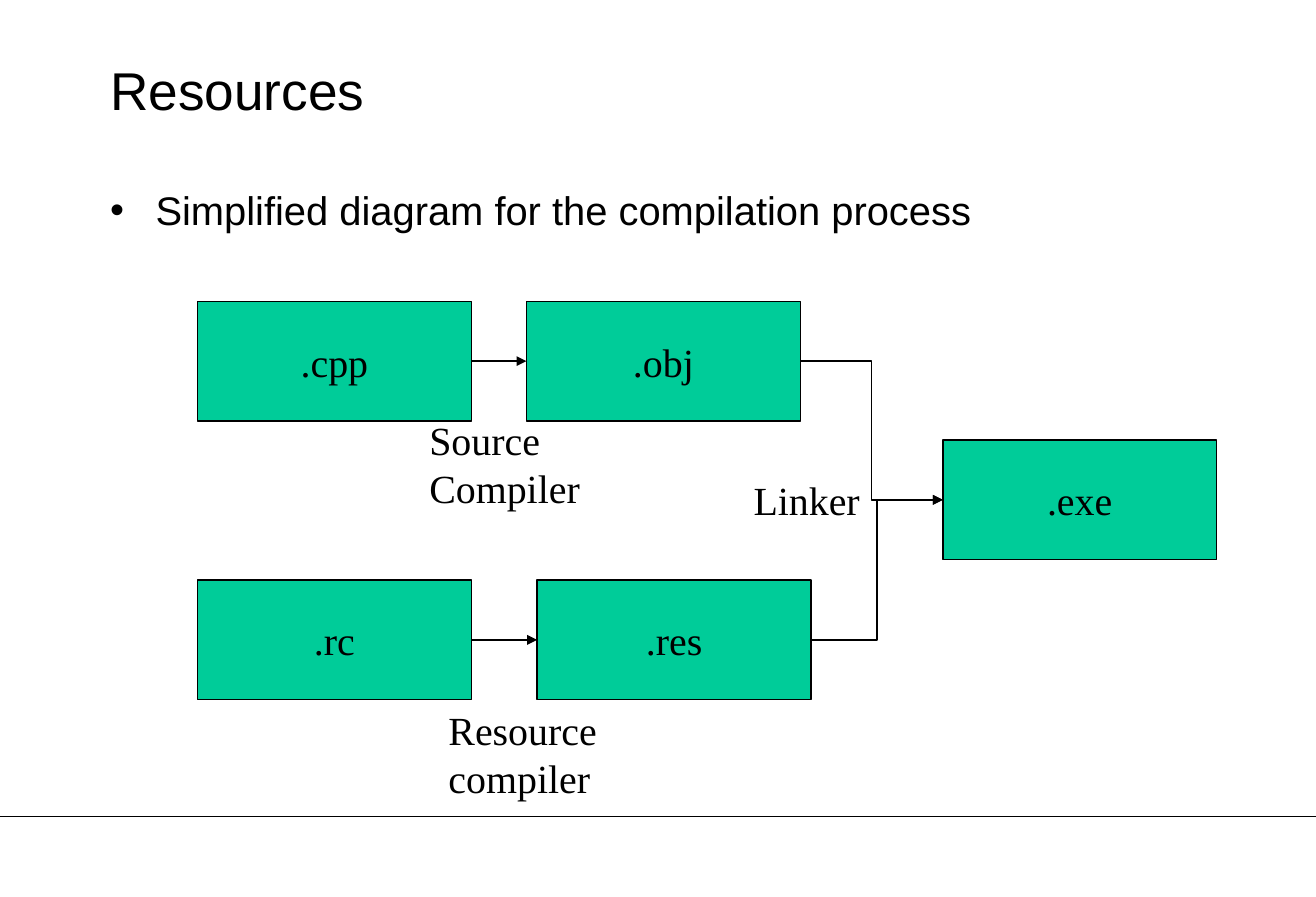
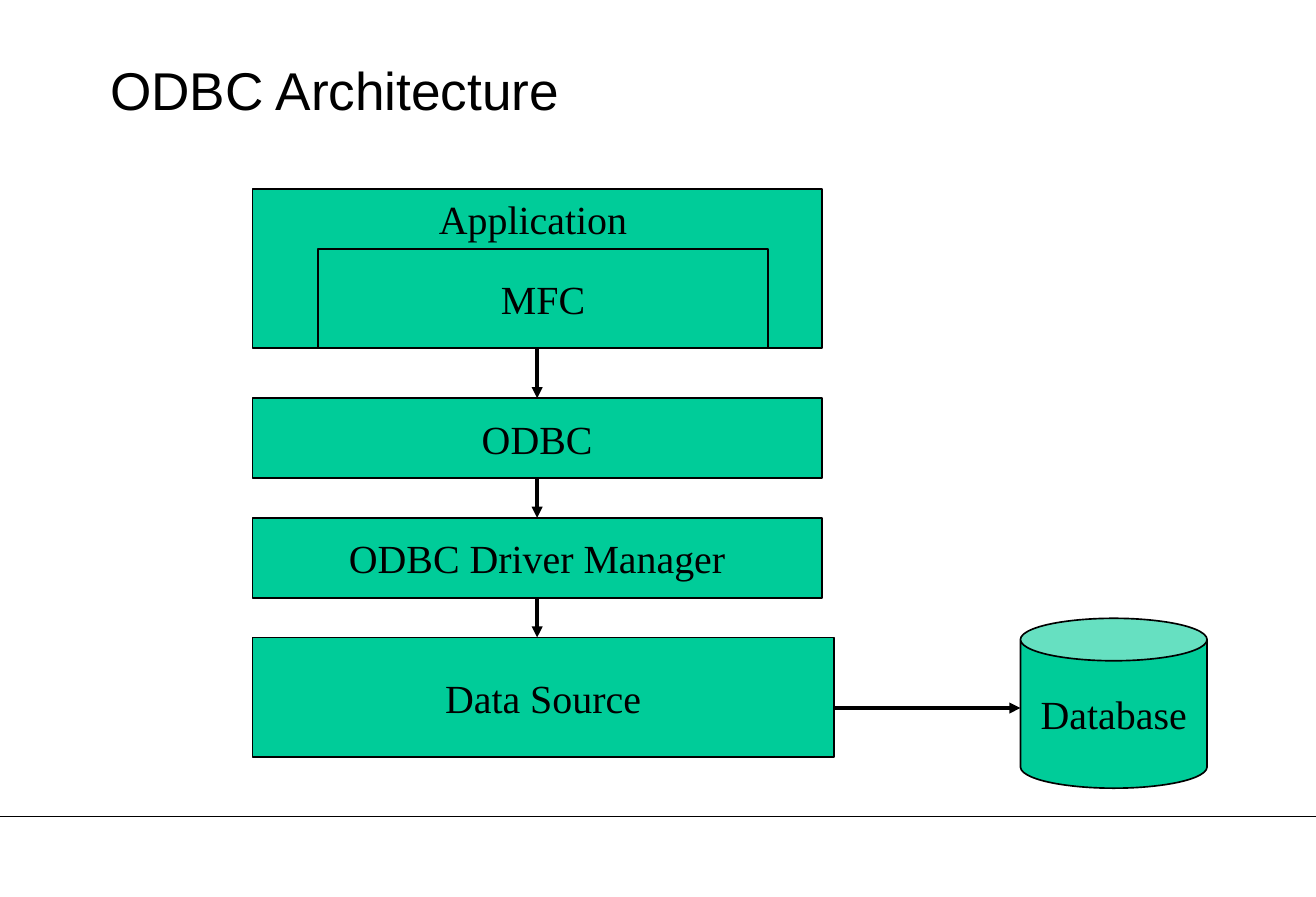
from lxml import etree
from pptx import Presentation
from pptx.dml.color import RGBColor
from pptx.enum.shapes import MSO_CONNECTOR, MSO_SHAPE
from pptx.enum.text import MSO_ANCHOR, MSO_AUTO_SIZE, PP_ALIGN
from pptx.oxml.ns import qn
from pptx.util import Inches, Pt

HEX = {"ink": "000000", "green": "00CC99"}
HEAD = "Arial"
TEXT = "Times New Roman"
LEFT, RIGHT = 1, 3


class Deck:
    def __init__(self):
        self.deck = Presentation()
        self.deck.slide_width = Inches(11)
        self.deck.slide_height = Inches(7.5)
        self.slide = None

    def color(self, name):
        return RGBColor.from_string(HEX[name])

    def place(self, shape, x, y, w, h):
        shape.left, shape.top = Inches(x), Inches(y)
        shape.width, shape.height = Inches(w), Inches(h)

    def letter(self, shape, lines, size=24, face=TEXT, align=PP_ALIGN.LEFT,
               anchor=MSO_ANCHOR.TOP, wrap=True):
        frame = shape.text_frame
        frame.text = "\n".join(lines)
        frame.word_wrap = wrap
        frame.auto_size = MSO_AUTO_SIZE.NONE
        frame.vertical_anchor = anchor
        for para in frame.paragraphs:
            para.alignment = align
            para.space_before = Pt(0)
            para.font.size = Pt(size)
            para.font.name = face
            para.font.color.rgb = self.color("ink")

    def page(self, title, layout):
        self.slide = self.deck.slides.add_slide(self.deck.slide_layouts[layout])
        self.line((0, 6.83), (11, 6.83), 0.75)
        head = self.slide.shapes.title
        self.place(head, 0.82, 0.25, 8.51, 1)
        self.letter(head, [title], 32, HEAD, anchor=MSO_ANCHOR.MIDDLE)

    def bullets(self, items):
        body = self.slide.placeholders[1]
        self.place(body, 0.82, 1.5, 9.35, 5.17)
        self.letter(body, items, face=HEAD)
        for para in body.text_frame.paragraphs:
            props = para._p.get_or_add_pPr()
            props.set("marL", str(Inches(0.38)))
            props.set("indent", str(-Inches(0.38)))

    def box(self, text, x, y, w, h, kind=MSO_SHAPE.RECTANGLE):
        shape = self.slide.shapes.add_shape(
            kind, Inches(x), Inches(y), Inches(w), Inches(h))
        shape.shadow.inherit = False
        shape.fill.solid()
        shape.fill.fore_color.rgb = self.color("green")
        shape.line.color.rgb = self.color("ink")
        shape.line.width = Pt(1)
        if text:
            self.letter(shape, [text], align=PP_ALIGN.CENTER,
                        anchor=MSO_ANCHOR.MIDDLE, wrap=False)
        return shape

    def label(self, lines, x, y, w, h, wrap=True):
        shape = self.slide.shapes.add_textbox(
            Inches(x), Inches(y), Inches(w), Inches(h))
        self.letter(shape, lines, wrap=wrap)

    def line(self, start, end, width, kind=MSO_CONNECTOR.STRAIGHT):
        line = self.slide.shapes.add_connector(
            kind, *[Inches(n) for n in (*start, *end)])
        line.line.color.rgb = self.color("ink")
        line.line.width = Pt(width)
        etree.SubElement(line._element.spPr, qn("a:effectLst"))
        return line

    def arrow(self, start, end, width, kind=MSO_CONNECTOR.STRAIGHT):
        line = self.line(start, end, width, kind)
        etree.SubElement(line.line._get_or_add_ln(), qn("a:tailEnd"),
                         type="triangle")
        return line

    def link(self, first, last, kind=MSO_CONNECTOR.STRAIGHT):
        line = self.arrow((0, 0), (1, 1), 1, kind)
        line.begin_connect(first, RIGHT)
        line.end_connect(last, LEFT)


def build(deck):
    deck.page("Resources", 1)
    deck.bullets(["Simplified diagram for the compilation process"])
    files = [(".cpp", 1.65, 2.52), (".res", 4.49, 4.85), (".obj", 4.4, 2.52),
             (".rc", 1.65, 4.85), (".exe", 7.88, 3.68)]
    cpp, res, obj, rc, exe = [deck.box(*file, 2.29, 1) for file in files]
    deck.link(cpp, obj)
    deck.link(rc, res)
    for part in (obj, res):
        deck.link(part, exe, MSO_CONNECTOR.ELBOW)
    deck.label(["Source Compiler"], 3.49, 3.43, 1.83, 0.9)
    deck.label(["Resource", "compiler"], 3.65, 5.85, 1.52, 0.9, False)
    deck.label(["Linker"], 6.2, 3.93, 1.09, 0.5, False)

    deck.page("ODBC Architecture", 5)
    layers = [("", 1.58, 4.76, 1.33), ("ODBC", 3.33, 4.76, 0.67),
              ("ODBC Driver Manager", 4.33, 4.76, 0.67),
              ("Data Source", 5.33, 4.86, 1)]
    for text, y, w, h in layers:
        deck.box(text, 2.11, y, w, h)
    deck.box("MFC", 2.66, 2.08, 3.76, 0.83)
    deck.label(["Application"], 3.57, 1.58, 2.11, 0.5)
    deck.box("Database", 8.53, 5.17, 1.56, 1.42, MSO_SHAPE.CAN)
    for (_, y, _, h), below in zip(layers, layers[1:]):
        deck.arrow((4.49, y + h), (4.49, below[1]), 2.25)
    deck.arrow((6.97, 5.92), (8.53, 5.92), 2.25)


def main():
    deck = Deck()
    build(deck)
    deck.deck.save("out.pptx")


if __name__ == "__main__":
    main()
